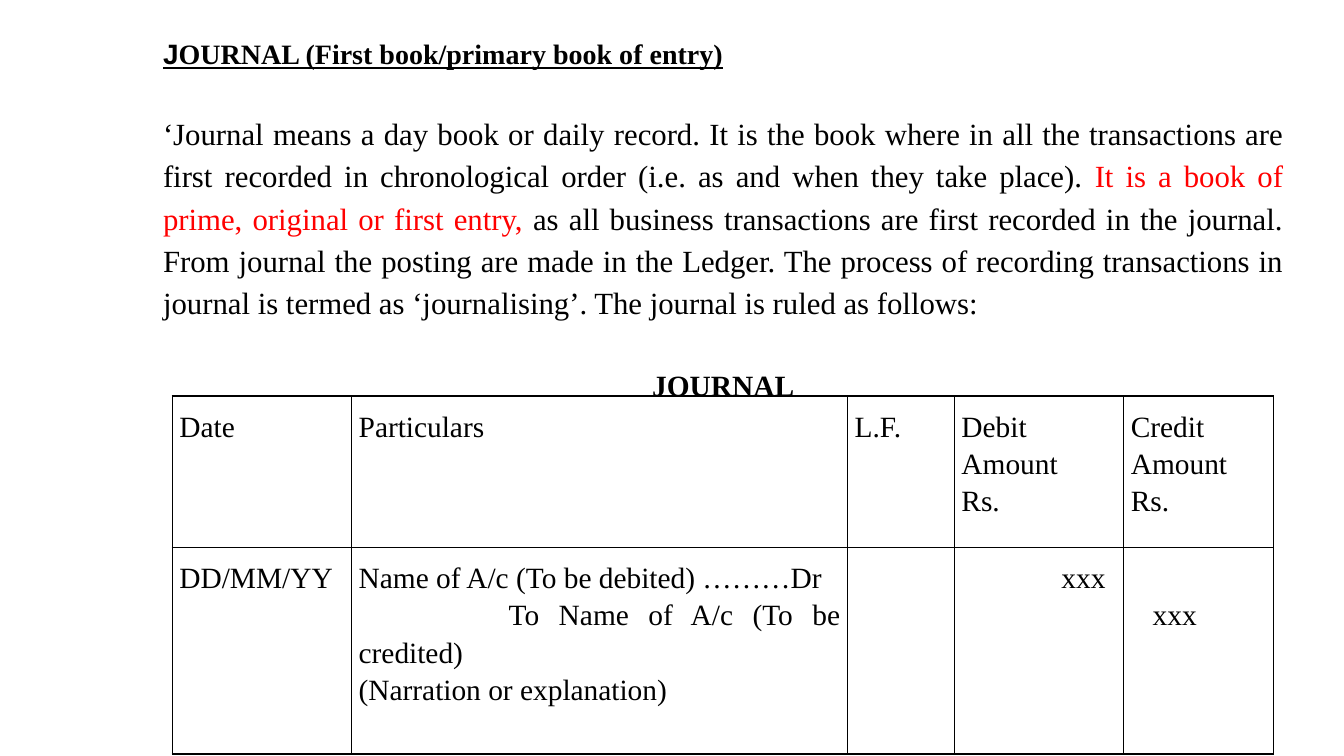
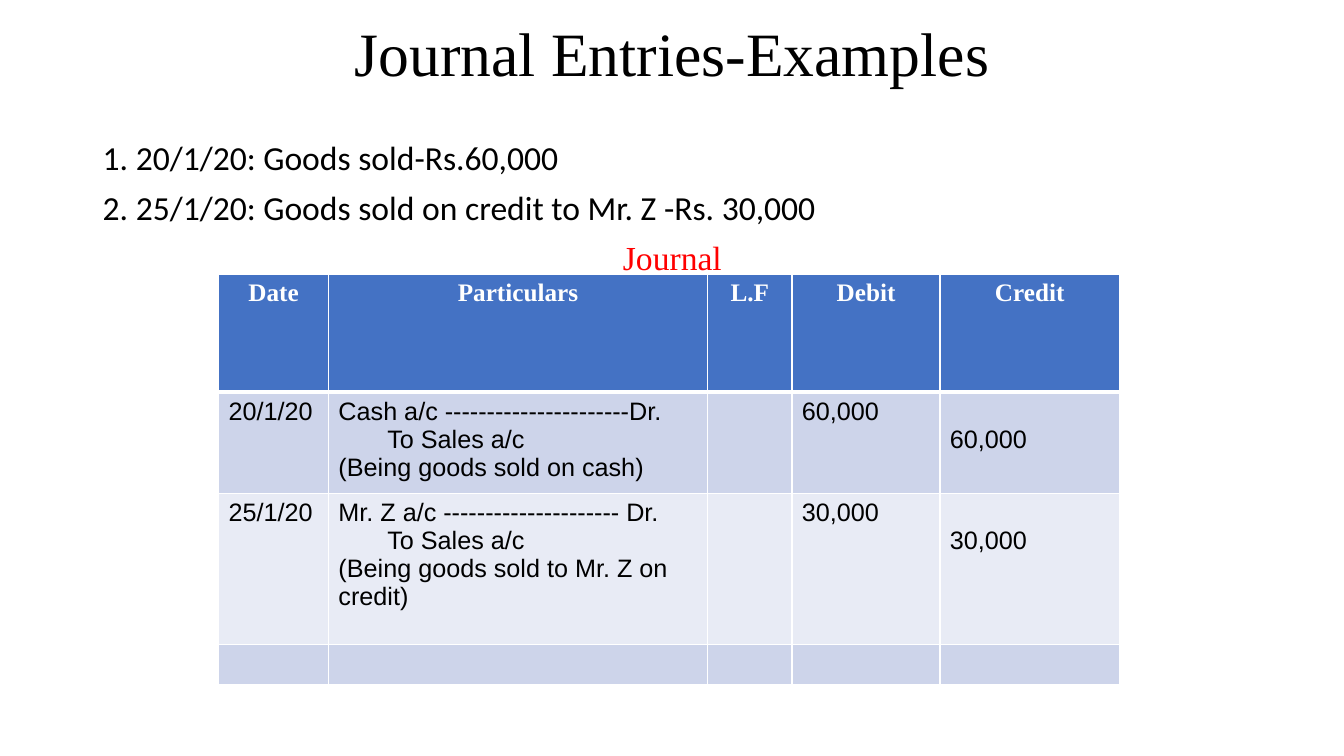
"""Build two slides that explain the journal and show worked journal entries."""
import dataclasses

import pptx
import pptx.dml.color
import pptx.enum.text
import pptx.oxml
import pptx.oxml.ns
import pptx.util

Cm = pptx.util.Cm
Pt = pptx.util.Pt
ALIGN = pptx.enum.text.PP_ALIGN
ANCHOR = pptx.enum.text.MSO_ANCHOR


@dataclasses.dataclass(frozen=True)
class Theme:
    black: str = "000000"
    white: str = "FFFFFF"
    red: str = "FF0000"
    header: str = "4472C4"
    bands: tuple = ("CDD4EA", "E8EBF5")
    serif: str = "Times New Roman"
    sans: str = "Arial"
    body: str = "Calibri"
    title_size: float = 44
    list_size: float = 24
    text_size: float = 22
    ruled_size: float = 21
    heading_size: float = 20
    entry_size: float = 18


THEME = Theme()


def style(name, size, color=THEME.black, bold=False, underline=False):
    return {"name": name, "size": Pt(size), "bold": bold,
            "underline": underline, "color": color}


HEADING = style(THEME.serif, THEME.heading_size, bold=True, underline=True)
TEXT = style(THEME.serif, THEME.text_size)
CAPTION = style(THEME.serif, THEME.ruled_size, bold=True)
RULED = style(THEME.serif, THEME.ruled_size)
TITLE = style(THEME.serif, THEME.title_size)
LISTED = style(THEME.body, THEME.list_size)
ENTRY = style(THEME.sans, THEME.entry_size)
ENTRY_HEADER = style(THEME.serif, THEME.entry_size, THEME.white, bold=True)

DEFINITION = {"alignment": ALIGN.JUSTIFY, "line_spacing": Pt(30.2)}
AFTER_GAP = {**DEFINITION, "space_before": Pt(28)}
LIST_LINE = {"line_spacing": 0.9}
NEXT_LINE = {**LIST_LINE, "space_before": Pt(10)}

DEFINITION_BOX = {
    "at": (3.86, 0.46, 28.73, 9.52),
    "frame": {"margin_top": Cm(0.25), "margin_bottom": 0},
    "paragraphs": [
        (DEFINITION, [("J", {**HEADING, "name": THEME.sans}),
                      ("OURNAL (First book/primary book of entry)", HEADING)]),
        (AFTER_GAP, [
            ("‘Journal means a day book or daily record. It is the book where in all "
             "the transactions are first recorded in chronological order (i.e. as and "
             "when they take place). ", TEXT),
            ("It is a book of prime, original or first entry,",
             {**TEXT, "color": THEME.red}),
            (" as all business transactions are first recorded in the journal. From "
             "journal the posting are made in the Ledger. The process of recording "
             "transactions in journal is termed as ‘journalising’. The journal is "
             "ruled as follows:", TEXT)]),
        ({**AFTER_GAP, "alignment": ALIGN.CENTER}, [("JOURNAL", CAPTION)]),
    ],
}

TITLE_BOX = {
    "at": (2.34, 0.28, 29.21, 2.31),
    "frame": {"vertical_anchor": ANCHOR.MIDDLE},
    "paragraphs": [({**LIST_LINE, "alignment": ALIGN.CENTER},
                    [("Journal Entries-Examples", TITLE)])],
}

EXAMPLES_BOX = {
    "at": (2.34, 3.43, 29.21, 3.48),
    "frame": {},
    "paragraphs": [
        (LIST_LINE, [("1. 20/1/20: Goods sold-Rs.60,000", LISTED)]),
        (NEXT_LINE, [("2. 25/1/20: Goods sold on credit to Mr. Z -Rs. 30,000", LISTED)]),
        ({**NEXT_LINE, "alignment": ALIGN.CENTER},
         [("Journal", {**LISTED, "name": THEME.serif, "color": THEME.red})]),
    ],
}


@dataclasses.dataclass
class Cell:
    """Lines of a cell, first-line indents in cm, and lines left free above."""
    lines: list
    indents: dict = dataclasses.field(default_factory=dict)
    drop: int = 0


def plain(*texts):
    return [Cell([text] if text else []) for text in texts]


def entry(date, account, narration, amount):
    return [*plain(date), Cell([account, "To Sales a/c", narration], {1: 1.23}),
            *plain("", amount), Cell([amount], drop=1)]


RULED_TABLE = {
    "at": (4.34, 9.98),
    "columns": (4.52, 12.5, 2.69, 4.27, 3.78),
    "rows": (3.81, 5.21),
    "cells": [
        [*plain("Date", "Particulars", "L.F."),
         Cell(["Debit", "Amount", "Rs."]), Cell(["Credit", "Amount", "Rs."])],
        [*plain("DD/MM/YY"),
         Cell(["Name of A/c (To be debited) ………Dr", "To Name of A/c (To be credited)",
               "(Narration or explanation)"], {1: 3.78}),
         *plain(""), Cell(["xxx"], {0: 2.52}), Cell(["xxx"], {0: 0.55}, drop=1)],
    ],
    "styles": (RULED, RULED),
    "header_format": {"alignment": ALIGN.JUSTIFY, "line_spacing": 1.15},
    "format": {"alignment": ALIGN.JUSTIFY, "line_spacing": 1.15},
    "margins": (0.18, 0.25),
    "line_height": 0.94,
    "fills": None,
    "border": THEME.black,
    "header_rule": 1,
}

ENTRIES_TABLE = {
    "at": (5.51, 6.91),
    "columns": (2.77, 9.55, 2.13, 3.73, 4.52),
    "rows": (2.97, 2.39, 3.81, 0.97),
    "cells": [
        plain("Date", "Particulars", "L.F", "Debit", "Credit"),
        entry("20/1/20", "Cash a/c ----------------------Dr.",
              "(Being goods sold on cash)", "60,000"),
        entry("25/1/20", "Mr. Z a/c --------------------- Dr.",
              "(Being goods sold to Mr. Z on credit)", "30,000"),
        plain("", "", "", "", ""),
    ],
    "styles": (ENTRY_HEADER, ENTRY),
    "header_format": {"alignment": ALIGN.CENTER},
    "format": {"alignment": ALIGN.LEFT},
    "margins": (0.25, 0.13),
    "line_height": 0.72,
    "fills": (THEME.header, *THEME.bands, THEME.bands[0]),
    "border": THEME.white,
    "header_rule": 3,
}

SLIDES = [
    {"boxes": [DEFINITION_BOX], "table": RULED_TABLE},
    {"boxes": [TITLE_BOX, EXAMPLES_BOX], "table": ENTRIES_TABLE},
]


def set_all(target, values):
    for name, value in values.items():
        setattr(target, name, value)


def color_of(value):
    return pptx.dml.color.RGBColor.from_string(value)


def write_paragraphs(text_frame, paragraphs):
    for index, (paragraph_format, runs) in enumerate(paragraphs):
        paragraph = text_frame.add_paragraph() if index else text_frame.paragraphs[0]
        set_all(paragraph, paragraph_format)
        for text, run_style in runs:
            run = paragraph.add_run()
            run.text = text
            set_all(run.font, {key: value for key, value in run_style.items()
                               if key != "color"})
            run.font.color.rgb = color_of(run_style["color"])


def add_text(slide, box):
    shape = slide.shapes.add_textbox(*map(Cm, box["at"]))
    set_all(shape.text_frame, {"word_wrap": True, **box["frame"]})
    write_paragraphs(shape.text_frame, box["paragraphs"])


def set_borders(cell, color, widths):
    properties = cell._tc.get_or_add_tcPr()
    for position, (side, width) in enumerate(zip("LRTB", widths)):
        properties.insert(position, pptx.oxml.parse_xml(
            f'<a:ln{side} {pptx.oxml.ns.nsdecls("a")} w="{Pt(width)}">'
            f'<a:solidFill><a:srgbClr val="{color}"/></a:solidFill></a:ln{side}>'))


def fill_cell(cell, content, table_data, row):
    side, top = table_data["margins"]
    set_all(cell, {
        "margin_left": Cm(side), "margin_right": Cm(side), "margin_bottom": Cm(top),
        "margin_top": Cm(top + content.drop * table_data["line_height"])})
    run_style = table_data["styles"][min(row, 1)]
    line_format = table_data["format" if row else "header_format"]
    write_paragraphs(cell.text_frame,
                     [(line_format, [(line, run_style)]) for line in content.lines])
    for index, indent in content.indents.items():
        properties = cell.text_frame.paragraphs[index]._p.get_or_add_pPr()
        properties.set("indent", str(Cm(indent)))
    if table_data["fills"]:
        cell.fill.solid()
        cell.fill.fore_color.rgb = color_of(table_data["fills"][row])
    else:
        cell.fill.background()
    rule = table_data["header_rule"]
    set_borders(cell, table_data["border"],
                (1, 1, rule if row == 1 else 1, rule if row == 0 else 1))


def add_journal(slide, table_data):
    columns, rows = table_data["columns"], table_data["rows"]
    lengths = (*table_data["at"], sum(columns), sum(rows))
    table = slide.shapes.add_table(len(rows), len(columns), *map(Cm, lengths)).table
    set_all(table, {"first_row": False, "horz_banding": False})
    for column, width in zip(table.columns, columns):
        column.width = Cm(width)
    for row, height in enumerate(rows):
        table.rows[row].height = Cm(height)
        for column, content in enumerate(table_data["cells"][row]):
            fill_cell(table.cell(row, column), content, table_data, row)


def main():
    presentation = pptx.Presentation()
    set_all(presentation, {"slide_width": Cm(33.87), "slide_height": Cm(19.05)})
    for slide_data in SLIDES:
        slide = presentation.slides.add_slide(presentation.slide_layouts[6])
        for box in slide_data["boxes"]:
            add_text(slide, box)
        add_journal(slide, slide_data["table"])
    presentation.save("out.pptx")


if __name__ == "__main__":
    main()
